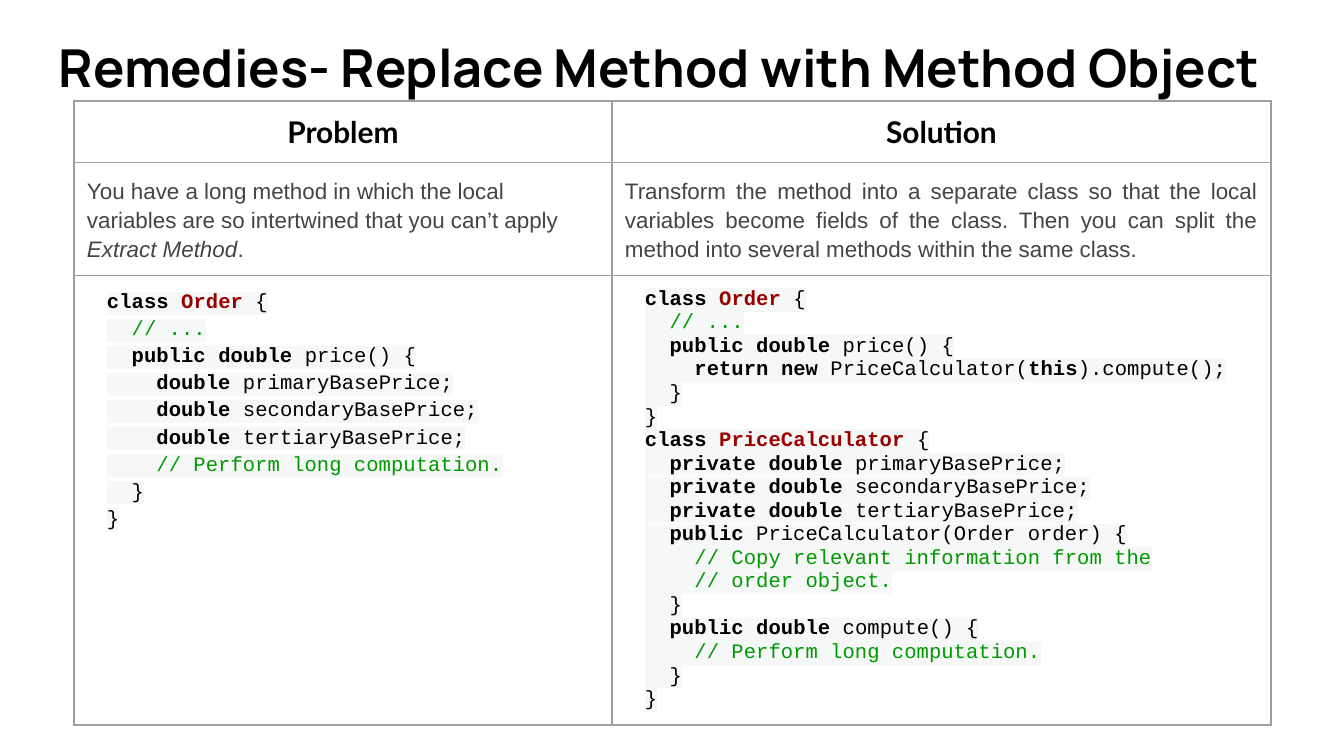
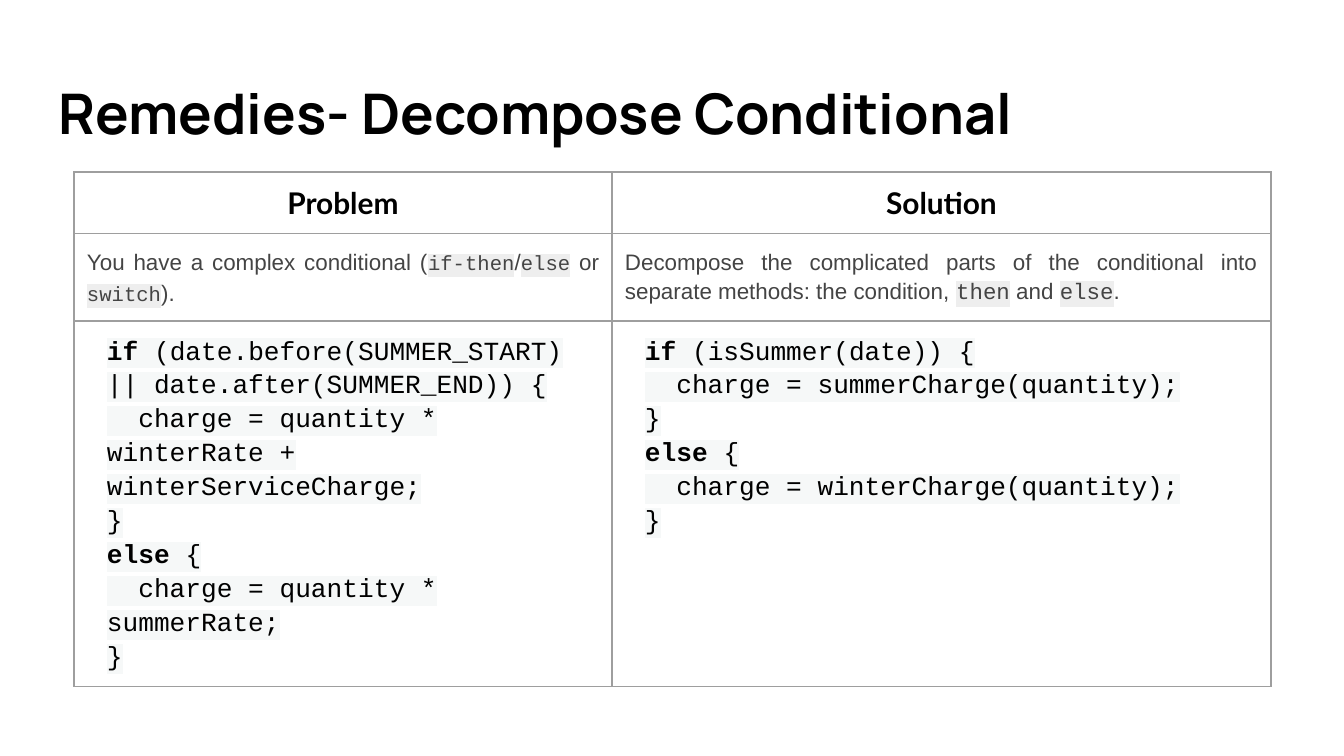
import itertools

import pptx
import pptx.dml.color
import pptx.enum.text
import pptx.oxml
import pptx.oxml.ns
import pptx.util

EMU_PER_PX = 914400 / 134.4
COLORS = {
    "black": "000000", "prose": "444444", "border": "9E9E9E", "white": "FFFFFF",
    "class_name": "990000", "comment": "009900",
    "code_back": "F6F8F8", "inline_back": "EEEEEE",
}
TITLE_FONT, HEADER_FONT, PROSE_FONT, CODE_FONT = "Manrope", "Lato", "Arial", "Courier New"
ALIGN = pptx.enum.text.PP_ALIGN
KEYWORDS = {"class", "public", "private", "double", "return", "new", "this", "if", "else"}

TABLE_LEFT = 74
COLUMN_WIDTHS = (538, 659)
ROW_HEIGHTS = (58, 79, 262)
CELL_INSET = 13
CODE_INDENT = 20
PROSE_SPACING = 1.15

METHOD_PROBLEM = """class Order {
  // ...
  public double price() {
    double primaryBasePrice;
    double secondaryBasePrice;
    double tertiaryBasePrice;
    // Perform long computation.
  }
}"""

METHOD_SOLUTION = """class Order {
  // ...
  public double price() {
    return new PriceCalculator(this).compute();
  }
}
class PriceCalculator {
  private double primaryBasePrice;
  private double secondaryBasePrice;
  private double tertiaryBasePrice;
  public PriceCalculator(Order order) {
    // Copy relevant information from the
    // order object.
  }
  public double compute() {
    // Perform long computation.
  }
}"""

CONDITIONAL_PROBLEM = """if (date.before(SUMMER_START) || date.after(SUMMER_END)) {
  charge = quantity * winterRate + winterServiceCharge;
}
else {
  charge = quantity * summerRate;
}"""

CONDITIONAL_SOLUTION = """if (isSummer(date)) {
  charge = summerCharge(quantity);
}
else {
  charge = winterCharge(quantity);
}"""


def px(length):
    return pptx.util.Emu(round(length * EMU_PER_PX))


def add_text(paragraph, text, font, size, color="black", bold=False, italic=False, highlight=None):
    run = paragraph.add_run()
    run.text = text
    run.font.name = font
    run.font.size = pptx.util.Pt(size)
    run.font.bold = bold
    run.font.italic = italic
    run.font.color.rgb = pptx.dml.color.RGBColor.from_string(COLORS[color])
    if highlight:
        fill = run.font._element.find(pptx.oxml.ns.qn("a:solidFill"))
        fill.addnext(pptx.oxml.parse_xml(
            f'<a:highlight {pptx.oxml.ns.nsdecls("a")}>'
            f'<a:srgbClr val="{COLORS[highlight]}"/></a:highlight>'))


def add_title(slide, text, top, size):
    title = slide.shapes.title
    title.left, title.top, title.width, title.height = px(46), px(top), px(1252), px(91)
    frame = title.text_frame
    frame.word_wrap = True
    frame.auto_size = pptx.enum.text.MSO_AUTO_SIZE.NONE
    frame.vertical_anchor = pptx.enum.text.MSO_ANCHOR.TOP
    frame.margin_left = frame.margin_right = px(CELL_INSET)
    frame.margin_top = frame.margin_bottom = px(CELL_INSET)
    paragraph = frame.paragraphs[0]
    paragraph.alignment = ALIGN.LEFT
    add_text(paragraph, text, TITLE_FONT, size, bold=True)


def format_cell(cell):
    """Give the cell its insets, a clear fill and a thin border on all sides."""
    cell.margin_left = cell.margin_right = px(CELL_INSET)
    cell.margin_top = cell.margin_bottom = px(CELL_INSET)
    cell.fill.background()
    properties = cell._tc.get_or_add_tcPr()
    for index, side in enumerate("LRTB"):
        properties.insert(index, pptx.oxml.parse_xml(
            f'<a:ln{side} {pptx.oxml.ns.nsdecls("a")} w="{pptx.util.Pt(0.75)}">'
            f'<a:solidFill><a:srgbClr val="{COLORS["border"]}"/></a:solidFill></a:ln{side}>'))


def write_header(cell, text):
    paragraph = cell.text_frame.paragraphs[0]
    paragraph.alignment = ALIGN.CENTER
    add_text(paragraph, text, HEADER_FONT, 16, bold=True)


def write_prose(cell, text, marked, alignment=ALIGN.JUSTIFY):
    """Write a description; the parts between backticks take the marked format."""
    paragraph = cell.text_frame.paragraphs[0]
    paragraph.alignment = alignment
    paragraph.line_spacing = PROSE_SPACING
    plain = {"font": PROSE_FONT, "size": 12, "color": "prose", "highlight": "white"}
    for index, part in enumerate(text.split("`")):
        add_text(paragraph, part, **(plain | marked if index % 2 else plain))


def color_code(line):
    """Yield (text, color, bold) for each stretch of one line of code."""
    code, slashes, comment = line.partition("//")
    tokens = []
    previous_word = ""
    for is_word, characters in itertools.groupby(code, lambda c: c.isalnum() or c == "_"):
        token = "".join(characters)
        style = ("black", token in KEYWORDS)
        if is_word:
            if previous_word == "class":
                style = ("class_name", True)
            previous_word = token
        tokens.append((token, style))
    if slashes:
        tokens.append((slashes + comment, ("comment", False)))
    for style, group in itertools.groupby(tokens, lambda item: item[1]):
        yield "".join(token for token, _ in group), *style


def write_code(cell, code, size, spacing):
    frame = cell.text_frame
    for index, line in enumerate(code.splitlines()):
        paragraph = frame.add_paragraph() if index else frame.paragraphs[0]
        paragraph.line_spacing = spacing
        properties = paragraph._p.get_or_add_pPr()
        properties.set("marL", str(px(CODE_INDENT)))
        properties.set("indent", "0")
        for text, color, bold in color_code(line):
            add_text(paragraph, text, CODE_FONT, size, color, bold, highlight="code_back")


def add_remedy_table(slide, top, height):
    """Add the Problem and Solution table with its headers and return it."""
    frame = slide.shapes.add_table(len(ROW_HEIGHTS), len(COLUMN_WIDTHS), px(TABLE_LEFT),
                                   px(top), px(sum(COLUMN_WIDTHS)), px(height))
    table = frame.table
    table.first_row = table.horz_banding = False
    for column, width in zip(table.columns, COLUMN_WIDTHS):
        column.width = px(width)
    for row, row_height in zip(table.rows, ROW_HEIGHTS):
        row.height = px(row_height)
    frame.height = px(height)
    for cell in table.iter_cells():
        format_cell(cell)
    for index, header in enumerate(("Problem", "Solution")):
        write_header(table.cell(0, index), header)
    return table


def add_method_slide(presentation):
    slide = presentation.slides.add_slide(presentation.slide_layouts[5])
    add_title(slide, "Remedies- Replace Method with Method Object", top=22, size=28)
    table = add_remedy_table(slide, top=101, height=650)
    write_prose(table.cell(1, 0),
                "You have a long method in which the local variables are so intertwined "
                "that you can’t apply `Extract Method`.",
                marked={"italic": True}, alignment=ALIGN.LEFT)
    write_prose(table.cell(1, 1),
                "Transform the method into a separate class so that the local variables become "
                "fields of the class. Then you can split the method into several methods "
                "within the same class.", marked={})
    write_code(table.cell(2, 0), METHOD_PROBLEM, size=11, spacing=PROSE_SPACING)
    write_code(table.cell(2, 1), METHOD_SOLUTION, size=11, spacing=1.0)


def add_conditional_slide(presentation):
    slide = presentation.slides.add_slide(presentation.slide_layouts[5])
    add_title(slide, "Remedies- Decompose Conditional", top=66, size=30)
    table = add_remedy_table(slide, top=172, height=536)
    inline_code = {"font": CODE_FONT, "highlight": "inline_back"}
    write_prose(table.cell(1, 0),
                "You have a complex conditional (`if-then`/`else` or `switch`).",
                marked=inline_code | {"size": 11})
    write_prose(table.cell(1, 1),
                "Decompose the complicated parts of the conditional into separate methods: "
                "the condition, `then` and `else`.", marked=inline_code)
    for index, code in enumerate((CONDITIONAL_PROBLEM, CONDITIONAL_SOLUTION)):
        write_code(table.cell(2, index), code, size=14, spacing=PROSE_SPACING)


def main():
    presentation = pptx.Presentation()
    presentation.slide_width, presentation.slide_height = px(1344), px(756)
    add_method_slide(presentation)
    add_conditional_slide(presentation)
    presentation.save("out.pptx")


if __name__ == "__main__":
    main()
